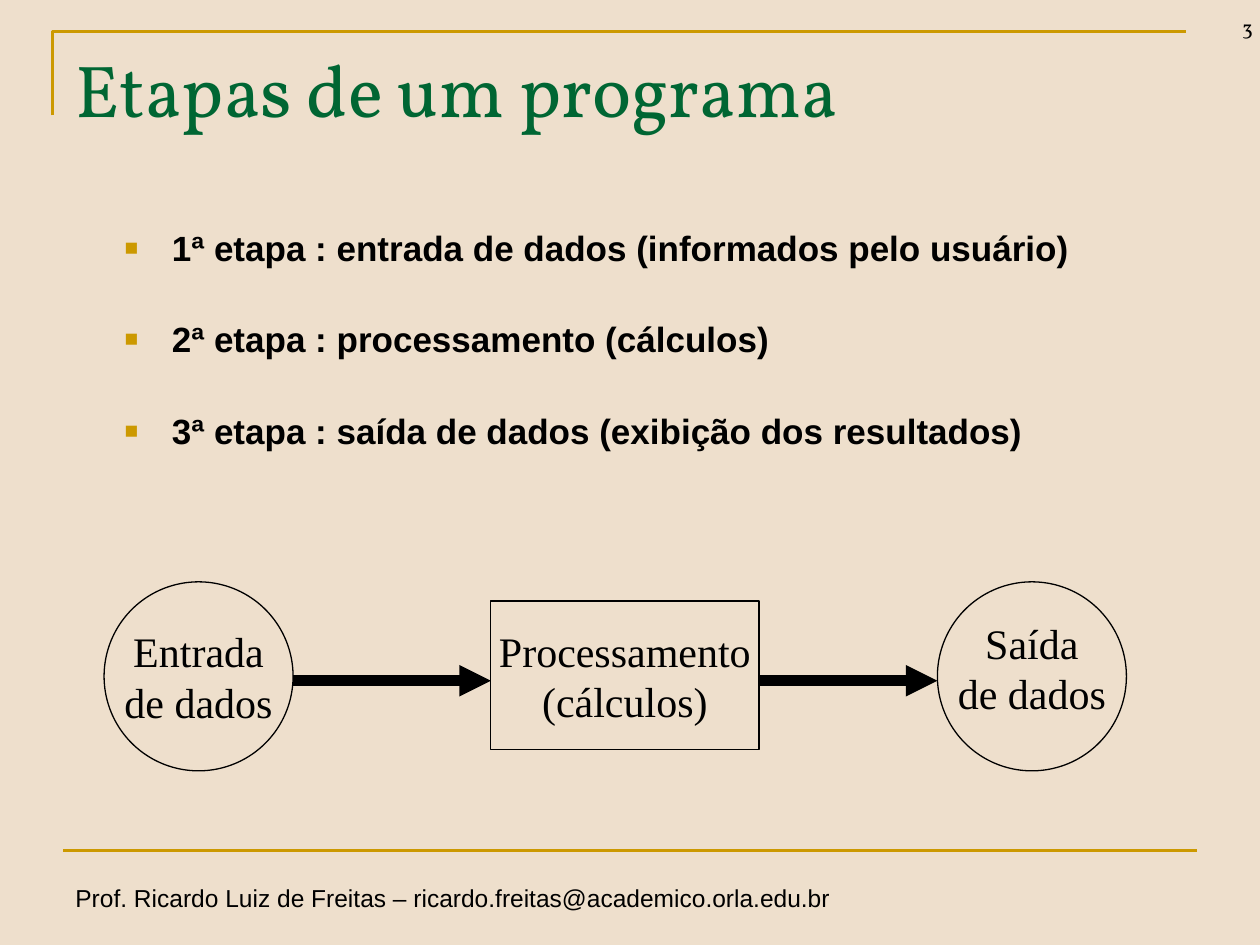
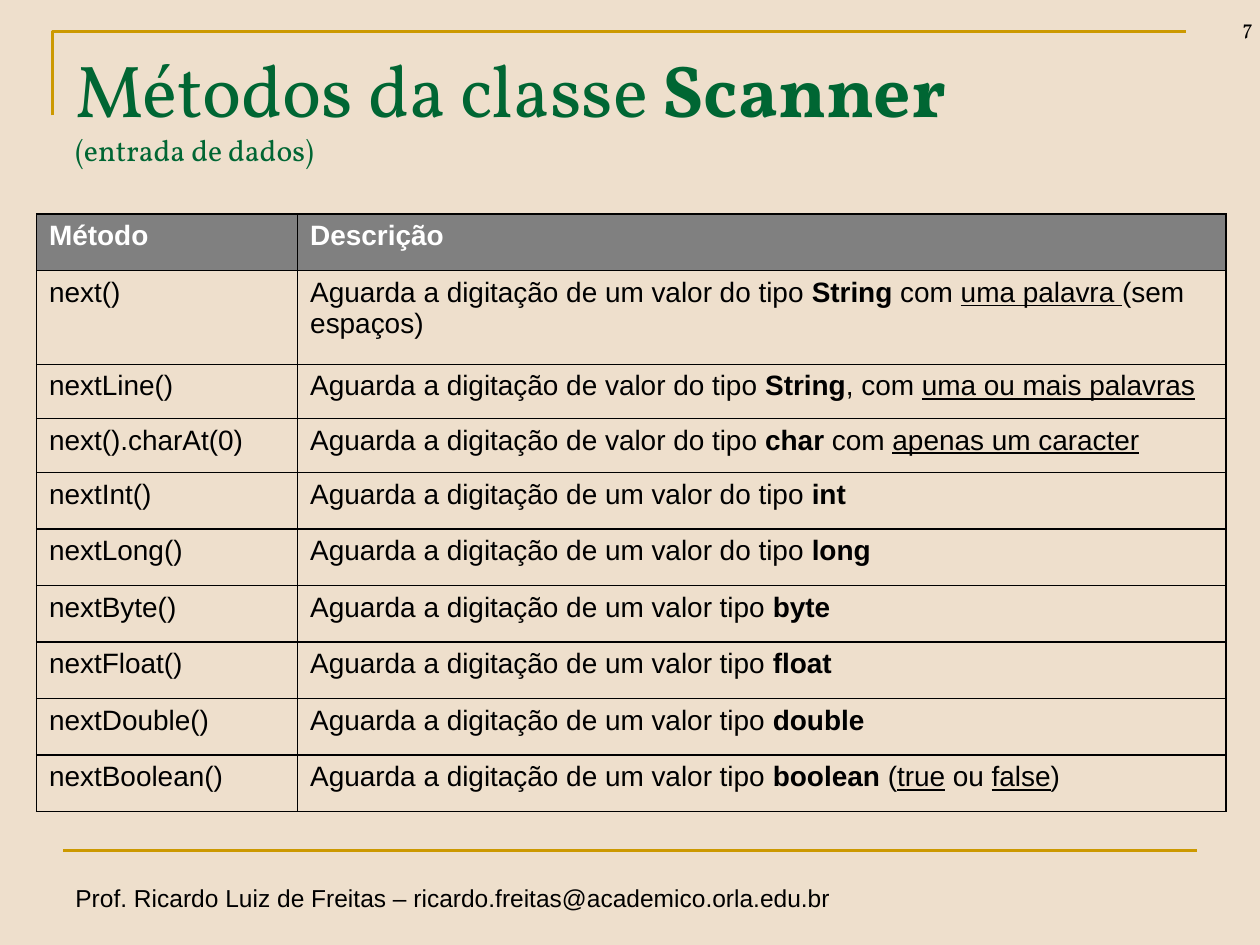
import pptx
import pptx.dml.color
import pptx.enum.shapes
import pptx.enum.text
import pptx.oxml
import pptx.oxml.ns
import pptx.util

Pt = pptx.util.Pt
SHAPE = pptx.enum.shapes.MSO_SHAPE
ALIGN = pptx.enum.text.PP_ALIGN
ANCHOR = pptx.enum.text.MSO_ANCHOR

COLORS = {
    "background": "EEDFCC",
    "gold": "CC9900",
    "title": "006633",
    "text": "000000",
    "header": "808080",
    "header_text": "FFFFFF",
}
SANS, SERIF, TITLE_FONT = "Arial", "Times New Roman", "Vollkorn"
FOOTER = "Prof. Ricardo Luiz de Freitas – ricardo.freitas@academico.orla.edu.br"

STEPS = [
    "1ª etapa : entrada de dados (informados pelo usuário)",
    "2ª etapa : processamento (cálculos)",
    "3ª etapa : saída de dados (exibição dos resultados)",
]

# Each description is a list of (text, style): "b" is bold, "u" is underlined.
WAIT_OF = ("Aguarda a digitação de um valor do tipo ", "")
WAIT_VALUE = ("Aguarda a digitação de valor do tipo ", "")
WAIT_TYPE = ("Aguarda a digitação de um valor tipo ", "")
METHODS = [
    ("next()", [WAIT_OF, ("String", "b"), (" com ", ""),
                ("uma palavra ", "u"), ("(sem espaços)", "")]),
    ("nextLine()", [WAIT_VALUE, ("String", "b"), (", com ", ""),
                    ("uma ou mais palavras", "u")]),
    ("next().charAt(0)", [WAIT_VALUE, ("char", "b"), (" com ", ""),
                          ("apenas um caracter", "u")]),
    ("nextInt()", [WAIT_OF, ("int", "b")]),
    ("nextLong()", [WAIT_OF, ("long", "b")]),
    ("nextByte()", [WAIT_TYPE, ("byte", "b")]),
    ("nextFloat()", [WAIT_TYPE, ("float", "b")]),
    ("nextDouble()", [WAIT_TYPE, ("double", "b")]),
    ("nextBoolean()", [WAIT_TYPE, ("boolean ", "b"), ("(", ""), ("true", "u"),
                       (" ou ", ""), ("false", "u"), (")", "")]),
]
COLUMN_WIDTHS = [149.2, 530.6]
ROW_HEIGHTS = [32.3, 53.6, 30.9, 30.9] + [32.3] * 6


def rgb(name):
    return pptx.dml.color.RGBColor.from_string(COLORS[name])


def format_run(r, font, size, color="text", style=""):
    r.font.name = font
    r.font.size = Pt(size)
    r.font.color.rgb = rgb(color)
    r.font.bold = "b" in style
    r.font.underline = "u" in style


def add_runs(p, parts, font, size, color="text"):
    for text, style in parts:
        r = p.add_run()
        r.text = text
        format_run(r, font, size, color, style)


def add_text_box(slide, left, top, width, height):
    tf = slide.shapes.add_textbox(Pt(left), Pt(top), Pt(width), Pt(height)).text_frame
    tf.word_wrap = True
    return tf


def add_line(slide, start, end, color, width, arrow=False):
    line = slide.shapes.add_connector(
        pptx.enum.shapes.MSO_CONNECTOR.STRAIGHT, *map(Pt, start + end))
    line.line.color.rgb = rgb(color)
    line.line.width = Pt(width)
    if arrow:
        line.line._get_or_add_ln().append(
            pptx.oxml.parse_xml('<a:tailEnd %s type="triangle"/>' % pptx.oxml.ns.nsdecls("a")))
    line._element.spPr.append(
        pptx.oxml.parse_xml("<a:effectLst %s/>" % pptx.oxml.ns.nsdecls("a")))


def add_title_bracket(slide):
    builder = slide.shapes.build_freeform(Pt(30), Pt(66))
    builder.add_line_segments([(Pt(30), Pt(18)), (Pt(678), Pt(18))], close=False)
    sp = builder.convert_to_shape()
    sp.shadow.inherit = False
    sp.fill.background()
    sp.line.color.rgb = rgb("gold")
    sp.line.width = Pt(1.5)


def add_base_slide(prs, number, title, subtitle=None):
    """Add a slide with the shared frame, footer, page number and title."""
    slide = prs.slides.add_slide(prs.slide_layouts[6])
    slide.background.fill.solid()
    slide.background.fill.fore_color.rgb = rgb("background")
    add_title_bracket(slide)
    add_line(slide, (36, 486), (684, 486), "gold", 1.5)

    p = add_text_box(slide, 36, 501, 459.4, 24.2).paragraphs[0]
    add_runs(p, [(FOOTER, "")], SANS, 14)

    tf = add_text_box(slide, 669, -10, 54, 36)
    tf.vertical_anchor = ANCHOR.BOTTOM
    tf.paragraphs[0].alignment = ALIGN.RIGHT
    add_runs(tf.paragraphs[0], [(str(number), "")], TITLE_FONT, 12)

    p = add_text_box(slide, 36, 21.6, 648, 90).paragraphs[0]
    add_runs(p, title, TITLE_FONT, 42, "title")
    if subtitle:
        p.add_line_break()
        add_runs(p, [(subtitle, "")], TITLE_FONT, 17, "title")
    return slide


def add_bullets(slide, items):
    tf = add_text_box(slide, 64.1, 128.4, 584.6, 175.7)
    tf.text = "\n".join(items)
    for p in tf.paragraphs:
        p.line_spacing = 0.9
        p.space_after = Pt(30.7)
        pPr = p._p.get_or_add_pPr()
        pPr.set("marL", str(Pt(27)))
        pPr.set("indent", str(-Pt(27)))
        ns = pptx.oxml.ns.nsdecls("a")
        for xml in ('<a:buClr %s><a:srgbClr val="%s"/></a:buClr>' % (ns, COLORS["gold"]),
                    '<a:buSzPct %s val="65000"/>' % ns,
                    '<a:buFont %s typeface="%s"/>' % (ns, SANS),
                    '<a:buChar %s char="■"/>' % ns):
            pPr.append(pptx.oxml.parse_xml(xml))
        format_run(p.runs[0], SANS, 20, style="b")


def add_stage(slide, kind, left, top, width, height, label, lift=0):
    """Add an outlined stage; lift raises its centred label by that many points."""
    sp = slide.shapes.add_shape(kind, Pt(left), Pt(top), Pt(width), Pt(height))
    sp.shadow.inherit = False
    sp.fill.background()
    sp.line.color.rgb = rgb("text")
    sp.line.width = Pt(0.75)
    tf = sp.text_frame
    tf.text = label
    tf.word_wrap = False
    tf.vertical_anchor = ANCHOR.MIDDLE
    tf.margin_bottom = Pt(3.6 + 2 * lift)
    for p in tf.paragraphs:
        p.alignment = ALIGN.CENTER
        format_run(p.runs[0], SERIF, 24)


def style_cell(cell, fill=None):
    tcPr = cell._tc.get_or_add_tcPr()
    for side in ("lnL", "lnR", "lnT", "lnB"):
        tcPr.append(pptx.oxml.parse_xml(
            '<a:%s %s w="%d"><a:solidFill><a:srgbClr val="%s"/></a:solidFill></a:%s>'
            % (side, pptx.oxml.ns.nsdecls("a"), Pt(1), COLORS["text"], side)))
    if fill:
        cell.fill.solid()
        cell.fill.fore_color.rgb = rgb(fill)
    else:
        cell.fill.background()


def add_method_table(slide):
    rows = [("Método", [("Descrição", "b")])] + METHODS
    table = slide.shapes.add_table(
        len(rows), 2, Pt(20.9), Pt(122.4),
        Pt(sum(COLUMN_WIDTHS)), Pt(sum(ROW_HEIGHTS))).table
    table.first_row = table.horz_banding = False
    for column, width in zip(table.columns, COLUMN_WIDTHS):
        column.width = Pt(width)
    for i, (method, description) in enumerate(rows):
        table.rows[i].height = Pt(ROW_HEIGHTS[i])
        header = i == 0
        name = [(method, "b" if header else "")]
        for cell, parts in zip(table.rows[i].cells, (name, description)):
            style_cell(cell, "header" if header else None)
            add_runs(cell.text_frame.paragraphs[0], parts, SANS, 16,
                     "header_text" if header else "text")


def add_steps_slide(prs):
    slide = add_base_slide(prs, 3, [("Etapas de um programa", "")])
    add_bullets(slide, STEPS)
    add_stage(slide, SHAPE.OVAL, 59.5, 332.5, 108, 108, "Entrada\nde dados")
    add_stage(slide, SHAPE.RECTANGLE, 280.5, 343.5, 153.3, 85, "Processamento\n(cálculos)")
    add_stage(slide, SHAPE.OVAL, 535.7, 332.5, 108, 108, "Saída\nde dados", lift=5)
    for start, end in ((167.3, 280.5), (433.8, 535.7)):
        add_line(slide, (start, 389), (end, 389), "text", 6, arrow=True)


def add_scanner_slide(prs):
    slide = add_base_slide(prs, 7, [("Métodos da classe ", ""), ("Scanner", "b")],
                           "(entrada de dados)")
    add_method_table(slide)


def main():
    prs = pptx.Presentation()
    prs.slide_width, prs.slide_height = Pt(720), Pt(540)
    add_steps_slide(prs)
    add_scanner_slide(prs)
    prs.save("out.pptx")


if __name__ == "__main__":
    main()
